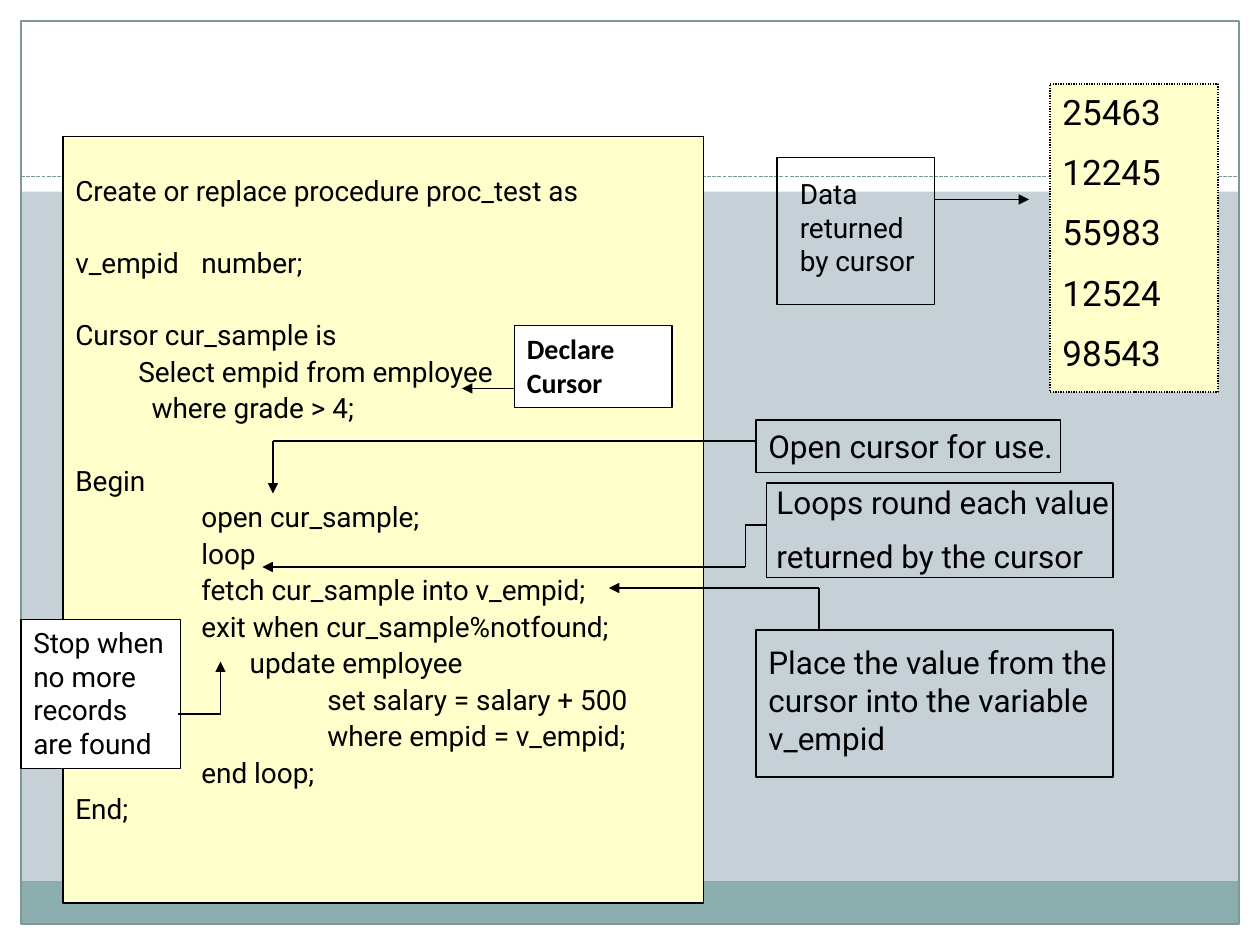
from dataclasses import dataclass
from itertools import pairwise

from lxml import etree
from pptx import Presentation
from pptx.dml.color import RGBColor
from pptx.enum import dml, shapes, text
from pptx.oxml import ns
from pptx.util import Pt


@dataclass(frozen=True)
class Theme:
    ground: str = "C5D1D7"
    paper: str = "FFFFFF"
    band: str = "8CADAE"
    rule: str = "7C999A"
    note: str = "FFFFCC"
    ink: str = "000000"
    font: str = "Roboto"
    label_font: str = "Calibri"
    small: float = 16
    medium: float = 18
    large: float = 20
    stroke: float = 0.75


T = Theme()
W, H = 720, 540
EDGE = 12

CODE = [
    ("Create or replace procedure proc_test as", 0, False),
    ("v_empid\tnumber;", 0, True),
    ("Cursor cur_sample is", 0, True),
    ("Select empid from employee", 36, False),
    ("where grade > 4;", 43.6, False),
    ("Begin", 0, True),
    ("open cur_sample;", 72, False),
    ("loop", 72, False),
    ("fetch cur_sample into v_empid;", 72, False),
    ("exit when cur_sample%notfound;", 72, False),
    ("update employee", 99.6, False),
    ("set salary = salary + 500", 144, False),
    ("where empid = v_empid;", 144, False),
    ("end loop;", 72, False),
    ("End;", 0, False),
]
VALUES = ["25463", "12245", "55983", "12524", "98543"]


def rgb(value):
    return RGBColor.from_string(value)


def add_box(s, box, fill=None, line=None, dash=None):
    sp = s.shapes.add_shape(shapes.MSO_SHAPE.RECTANGLE, *map(Pt, box))
    sp.shadow.inherit = False
    if fill:
        sp.fill.solid()
        sp.fill.fore_color.rgb = rgb(fill)
    else:
        sp.fill.background()
    if line:
        sp.line.color.rgb = rgb(line)
        sp.line.width = Pt(T.stroke)
        if dash:
            sp.line.dash_style = dash
    else:
        sp.line.fill.background()
    return sp


def set_frame(sp, margins=(7.2, 3.6, 7.2, 3.6), wrap=True, middle=False):
    tf = sp.text_frame
    tf.word_wrap = wrap
    tf.margin_left, tf.margin_top, tf.margin_right, tf.margin_bottom = map(Pt, margins)
    tf.vertical_anchor = text.MSO_ANCHOR.MIDDLE if middle else text.MSO_ANCHOR.TOP
    return tf


def add_line(tf, words, size, before=0, font=T.font, bold=False):
    first = tf.paragraphs[0]
    p = tf.add_paragraph() if first.runs else first
    p.alignment = text.PP_ALIGN.LEFT
    p.space_before = Pt(before)
    r = p.add_run()
    r.text = words
    r.font.name = font
    r.font.size = Pt(size)
    r.font.bold = bold
    r.font.color.rgb = rgb(T.ink)
    return p


def add_segment(s, start, end, color=T.ink, arrow=False, dash=None):
    c = s.shapes.add_connector(
        shapes.MSO_CONNECTOR.STRAIGHT, *map(Pt, (*start, *end)))
    c.line.color.rgb = rgb(color)
    c.line.width = Pt(T.stroke)
    if dash:
        c.line.dash_style = dash
    if arrow:
        etree.SubElement(c.line._get_or_add_ln(), ns.qn("a:tailEnd"), type="triangle")
    etree.SubElement(c._element.spPr, ns.qn("a:effectLst"))


def add_route(s, *points):
    for start, end in pairwise(points):
        add_segment(s, start, end, arrow=end == points[-1])


def draw_backdrop(s):
    s.background.fill.solid()
    s.background.fill.fore_color.rgb = rgb(T.ground)
    for box in ((0, H - EDGE, W, EDGE), (0, 0, W, 109.5),
                (0, 0, EDGE, H), (W - EDGE, 0, EDGE, H)):
        add_box(s, box, T.paper)
    inner = W - 2 * EDGE
    add_box(s, (EDGE, 503.5, inner, 24.5), T.band)
    add_box(s, (EDGE, EDGE, inner, H - 2 * EDGE), line=T.rule)
    add_segment(s, (EDGE, 100.8), (W - EDGE, 100.8), T.rule,
                dash=dml.MSO_LINE.SQUARE_DOT)


def draw_code(s, box):
    tf = set_frame(add_box(s, box, T.note, T.ink),
                   (7.2, 3.6, 7.2, 24.6), wrap=False, middle=True)
    gap, pitch = 3.6, 20.5
    for i, (words, indent, section) in enumerate(CODE):
        before = gap + pitch * section if i else 0
        p = add_line(tf, words, T.small, before)
        p.line_spacing = 0.9
        pPr = p._p.get_or_add_pPr()
        pPr.set("marL", str(Pt(indent)))
        pPr.set("indent", "0")


def draw_values(s, box):
    tf = set_frame(add_box(s, box, T.note, T.ink, dml.MSO_LINE.ROUND_DOT))
    for i, value in enumerate(VALUES):
        add_line(tf, value, T.large, 10.5 if i else 0)


def draw_callout(s, box, lines, size, fill=None, before=0, font=T.font,
                 bold=False, **frame):
    tf = set_frame(add_box(s, box, fill, T.ink), **frame)
    for i, words in enumerate(lines):
        add_line(tf, words, size, before if i else 0, font, bold)


def draw_callouts(s):
    draw_callout(s, (EDGE, 354, 91.4, 85), ["Stop when no more records are found"],
                 T.small, T.paper)
    draw_callout(s, (444, 90, 90, 84), ["Data returned by cursor"], T.small,
                 margins=(13, 11, 7, 0))
    draw_callout(s, (294, 186, 90, 46.8), ["Declare Cursor"], T.small, T.paper,
                 font=T.label_font, bold=True)
    draw_callout(s, (432, 240, 174, 30), ["Open cursor for use."], T.medium,
                 wrap=False, middle=True)
    draw_callout(s, (438, 276, 198, 54),
                 ["Loops round each value", "returned by the cursor"], T.medium,
                 before=9, margins=(5.7, 0, 0, 0), wrap=False)
    draw_callout(s, (432, 360, 204, 84),
                 ["Place the value from the cursor into the variable v_empid"],
                 T.medium, margins=(7.2, 7.5, 0, 0))


def draw_routes(s):
    add_route(s, (534, 114), (588, 114))
    add_route(s, (294, 222), (264, 222))
    add_route(s, (432, 252), (156, 252), (156, 282))
    add_route(s, (438, 300), (426, 300), (426, 324), (150, 324))
    add_route(s, (468, 360), (468, 336), (348, 336))
    add_route(s, (102, 408), (126, 408), (126, 378))


def main():
    prs = Presentation()
    prs.slide_width, prs.slide_height = Pt(W), Pt(H)
    s = prs.slides.add_slide(prs.slide_layouts[6])
    draw_backdrop(s)
    draw_code(s, (36, 78, 366, 438))
    draw_values(s, (600, 48, 96, 176))
    draw_callouts(s)
    draw_routes(s)
    prs.save("out.pptx")


if __name__ == "__main__":
    main()
